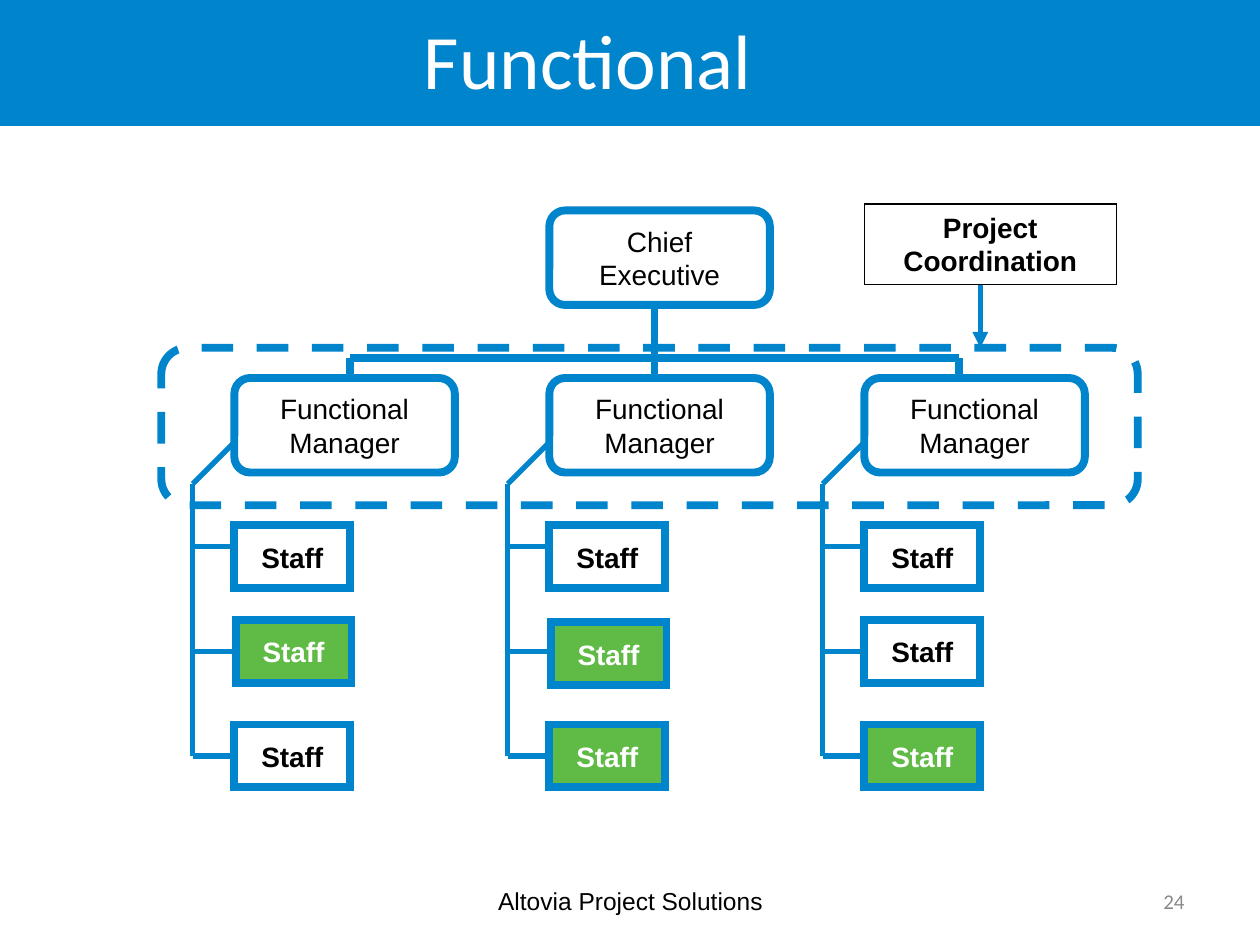
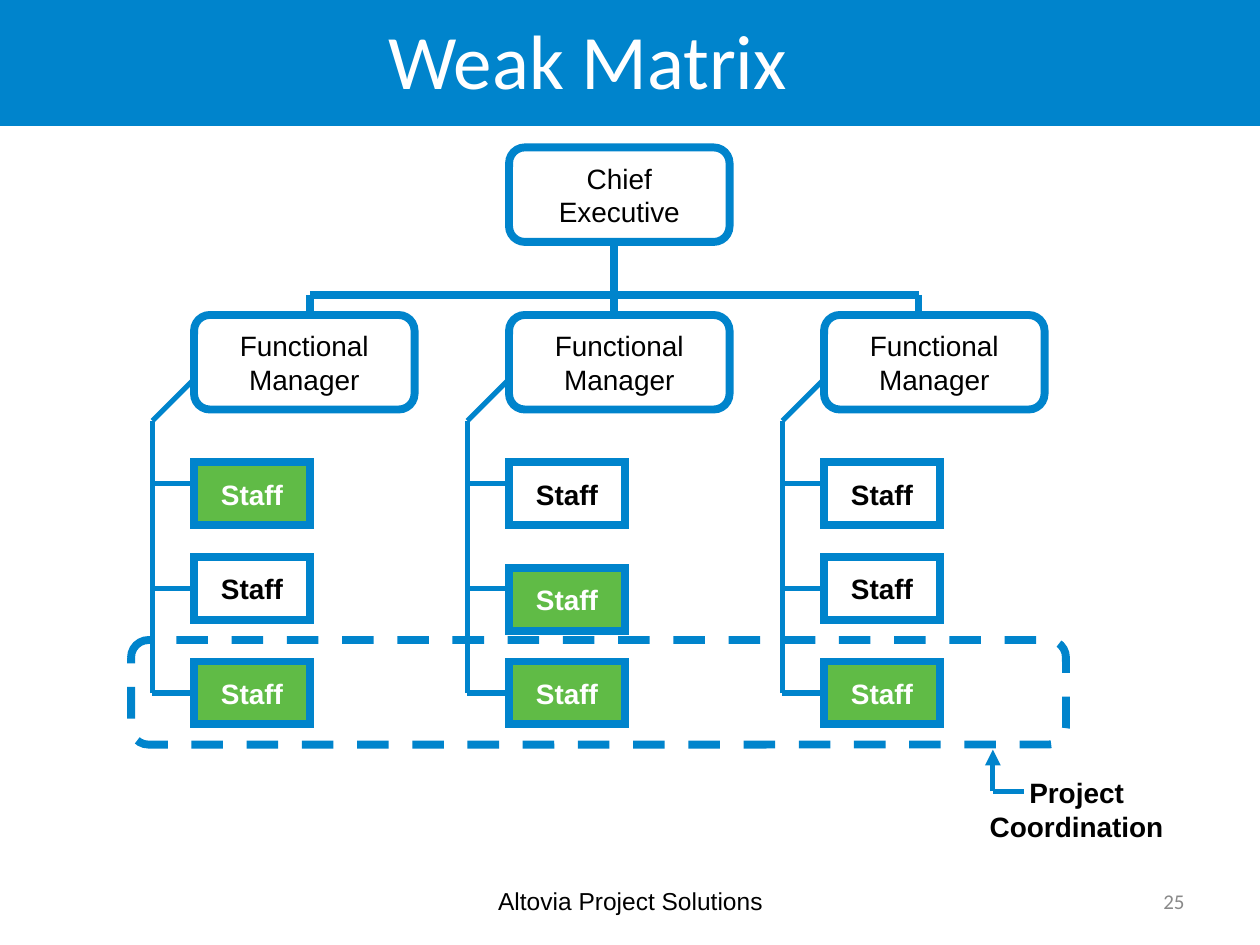
import pptx
import pptx.dml.color
import pptx.enum.dml
import pptx.enum.shapes
import pptx.enum.text
import pptx.oxml
import pptx.oxml.ns
import pptx.util
from lxml import etree

Inches = pptx.util.Inches
RGBColor = pptx.dml.color.RGBColor
Shape = pptx.enum.shapes.MSO_SHAPE
Align = pptx.enum.text.PP_ALIGN
Anchor = pptx.enum.text.MSO_ANCHOR

BLUE = RGBColor(0x00, 0x84, 0xCC)
GREEN = RGBColor(0x60, 0xBB, 0x46)
GRAY = RGBColor(0x89, 0x89, 0x89)
WHITE = RGBColor(0xFF, 0xFF, 0xFF)
BLACK = RGBColor(0x00, 0x00, 0x00)

COMPANY = "Altovia Project Solutions"
COLUMN_STEP = 2.5
ROLE_WIDTH, ROLE_HEIGHT = 1.75, 0.75
STAFF_WIDTH, STAFF_HEIGHT = 0.92, 0.5
STAFF_TOPS = (2.5, 3.25, 4.08)
TRUNK_OFFSET = 0.33
TRUNK_TOP, TRUNK_STEP = 2.17, 0.83
MANAGER_TOP = 1.33
BAR_LEFT, BAR_TOP, BAR_STEP = 0.92, 1.17, 2.415


def add_child(parent, tag, **attributes):
    return etree.SubElement(parent, pptx.oxml.ns.qn(tag), **attributes)


def write(shape, text, size=16, font="Arial", color=BLACK, bold=False,
          align=Align.CENTER, anchor=Anchor.MIDDLE, wrap=True):
    frame = shape.text_frame
    frame.word_wrap = wrap
    frame.vertical_anchor = anchor
    para = frame.paragraphs[0]
    para.text = text
    para.alignment = align
    for span in para.runs:
        span.font.size = pptx.util.Pt(size)
        span.font.name = font
        span.font.color.rgb = color
        span.font.bold = bold


def add_box(page, kind, left, top, width, height, fill=None, line=BLUE,
            weight=4.5, dashed=False):
    box = page.shapes.add_shape(
        kind, Inches(left), Inches(top), Inches(width), Inches(height))
    box.shadow.inherit = False
    if fill is None:
        box.fill.background()
    else:
        box.fill.solid()
        box.fill.fore_color.rgb = fill
    if line is None:
        box.line.fill.background()
        return box
    box.line.color.rgb = line
    box.line.width = pptx.util.Pt(weight)
    if dashed:
        box.line.dash_style = pptx.enum.dml.MSO_LINE.DASH
    add_child(box.line._get_or_add_ln(), "a:miter", lim="800000")
    return box


def add_text(page, text, left, top, width, height, **style):
    box = page.shapes.add_textbox(
        Inches(left), Inches(top), Inches(width), Inches(height))
    write(box, text, **style)


def add_line(page, start, end, weight=3, arrow=False):
    line = page.shapes.add_connector(
        pptx.enum.shapes.MSO_CONNECTOR.STRAIGHT,
        *(Inches(value) for value in (*start, *end)))
    line.line.color.rgb = BLUE
    line.line.width = pptx.util.Pt(weight)
    if arrow:
        add_child(line.line._get_or_add_ln(), "a:tailEnd", type="triangle")
    add_child(line.element.spPr, "a:effectLst")


def add_layout_band(page):
    band = add_box(page, Shape.RECTANGLE, 0, 0, 10, 1, fill=BLUE, line=None)
    page.slide_layout.element.cSld.spTree.insert(2, band.element)


def add_page(deck, title, number):
    page = deck.slides.add_slide(deck.slide_layouts[5])
    heading = page.shapes.title
    heading.left, heading.top = Inches(0.08), Inches(0.03)
    heading.width, heading.height = Inches(9.17), Inches(0.88)
    write(heading, title, size=44, font="Calibri", color=WHITE)
    add_text(page, COMPANY, 3.42, 6.95, 3.17, 0.4, size=14)
    add_text(page, str(number), 7.17, 6.95, 2.33, 0.4, size=12,
             font="Calibri", color=GRAY, align=Align.RIGHT)
    return page


def add_role(page, text, left, top):
    box = add_box(page, Shape.ROUNDED_RECTANGLE, left, top,
                  ROLE_WIDTH, ROLE_HEIGHT)
    write(box, text, wrap=False)


def add_staff(page, left, top, assigned):
    box = add_box(page, Shape.RECTANGLE, left, top, STAFF_WIDTH,
                  STAFF_HEIGHT, fill=GREEN if assigned else None)
    write(box, "Staff", bold=True, color=WHITE if assigned else BLACK,
          wrap=False)


def add_department(page, left, top, assigned_rows, middle_nudge):
    nudges = ((0, 0), middle_nudge, (0, 0))
    for row, (staff_top, (right, down)) in enumerate(zip(STAFF_TOPS, nudges)):
        add_staff(page, left + right, top + staff_top + down,
                  row in assigned_rows)
    add_role(page, "Functional\nManager", left, top + MANAGER_TOP)

    trunk = left - TRUNK_OFFSET
    trunk_top = top + TRUNK_TOP
    branches = [top + 2.67 + TRUNK_STEP * row for row in range(3)]
    for branch in branches:
        add_line(page, (left, branch), (trunk, branch))
    add_line(page, (trunk, branches[-1]), (trunk, trunk_top))
    add_line(page, (left, trunk_top - TRUNK_OFFSET), (trunk, trunk_top))


def add_organization(page, left, top, assigned, middle_nudges):
    for column, (rows, nudge) in enumerate(zip(assigned, middle_nudges)):
        add_department(page, left + COLUMN_STEP * column, top, rows, nudge)
    add_role(page, "Chief\nExecutive", left + COLUMN_STEP, top)

    bar = top + BAR_TOP
    drops = [left + BAR_LEFT + BAR_STEP * column for column in range(3)]
    add_line(page, (drops[0], bar), (drops[-1], bar), weight=4.5)
    for drop, start in zip(drops, (bar, top + ROLE_HEIGHT, bar)):
        add_line(page, (drop, start), (drop, top + MANAGER_TOP), weight=4.5)


def add_coordination_zone(page, left, top, width, height):
    add_box(page, Shape.ROUNDED_RECTANGLE, left, top, width, height,
            dashed=True)


def add_functional_label(page, left, top):
    label = add_box(page, Shape.RECTANGLE, left, top, 2, 0.64,
                    line=BLACK, weight=0.75)
    write(label, "Project Coordination", bold=True, anchor=Anchor.TOP)
    add_line(page, (left + 0.92, top + 0.64), (left + 0.92, top + 1.14),
             arrow=True)


def add_matrix_label(page, left, top):
    add_text(page, "Project Coordination", left, top, 1.83, 0.64,
             bold=True, anchor=Anchor.TOP)
    corner = (left + 0.25, top + 0.17)
    add_line(page, corner, (left + 0.25, top - 0.16), arrow=True)
    add_line(page, corner, (left + 0.5, top + 0.17))


def add_functional_page(deck):
    page = add_page(deck, "Functional", 24)
    add_layout_band(page)
    add_organization(page, 1.86, 1.67, assigned=({1}, {1, 2}, {2}),
                     middle_nudges=((0.01, 0), (0.01, 0.02), (0, 0)))
    add_coordination_zone(page, 1.28, 2.76, 7.75, 1.25)
    add_functional_label(page, 6.86, 1.62)


def add_weak_matrix_page(deck):
    page = add_page(deck, "Weak Matrix", 25)
    add_organization(page, 1.54, 1.17, assigned=({0, 2}, {1, 2}, {2}),
                     middle_nudges=((0, 0), (0, 0.09), (0, 0)))
    add_coordination_zone(page, 1.04, 5.08, 7.42, 0.83)
    add_matrix_label(page, 7.63, 6.11)


def main():
    deck = pptx.Presentation()
    deck.slide_width, deck.slide_height = Inches(10), Inches(7.5)
    add_functional_page(deck)
    add_weak_matrix_page(deck)
    deck.save("out.pptx")


if __name__ == "__main__":
    main()
